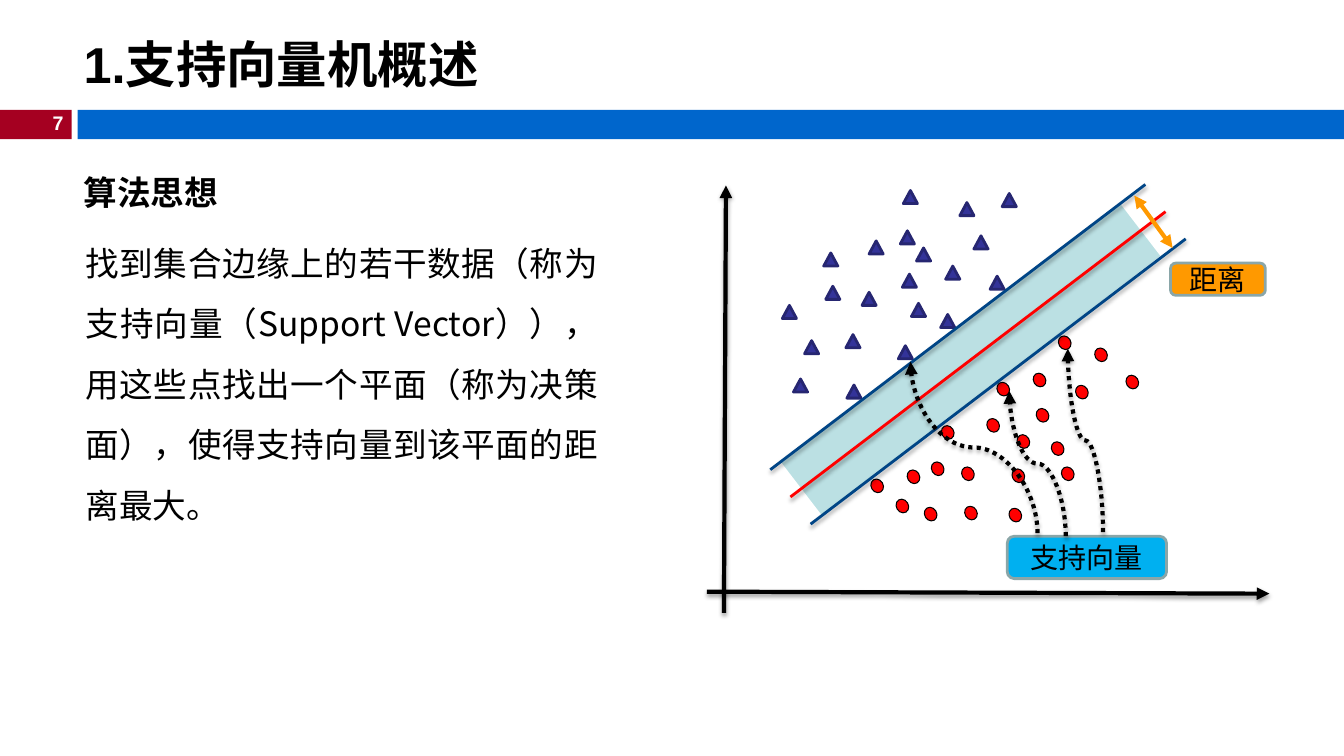
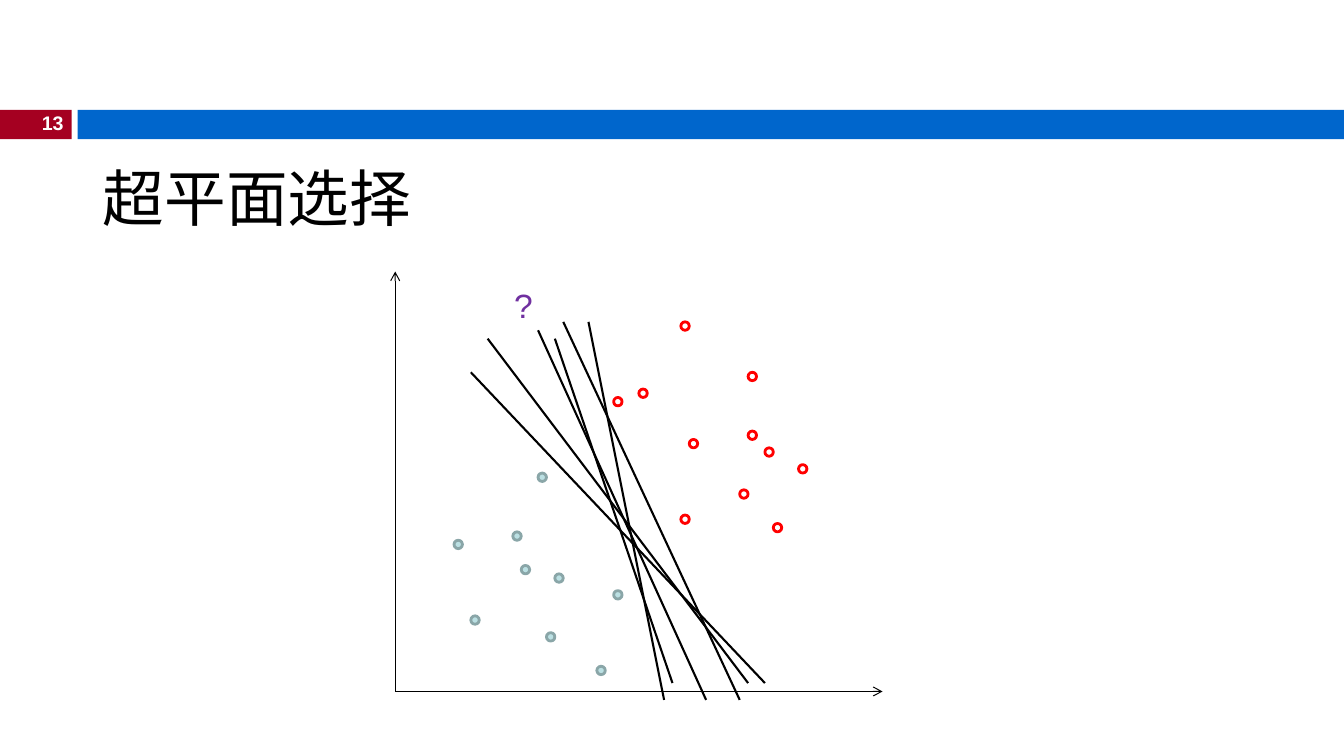
from lxml import etree
from pptx import Presentation
from pptx.dml.color import RGBColor
from pptx.enum.dml import MSO_LINE
from pptx.enum.lang import MSO_LANGUAGE_ID as Language
from pptx.enum.shapes import MSO_CONNECTOR as Connector, MSO_SHAPE as Shape
from pptx.enum.text import MSO_ANCHOR as Anchor, MSO_AUTO_SIZE as AutoSize, PP_ALIGN as Align
from pptx.oxml.ns import qn
from pptx.util import Inches, Pt

BLACK = RGBColor(0x00, 0x00, 0x00)
WHITE = RGBColor(0xFF, 0xFF, 0xFF)
CRIMSON = RGBColor(0xA5, 0x00, 0x21)
BAND_BLUE = RGBColor(0x00, 0x66, 0xCC)
SKY = RGBColor(0x00, 0xB0, 0xF0)
ORANGE = RGBColor(0xFF, 0x99, 0x00)
PALE_TEAL = RGBColor(0xBB, 0xE0, 0xE3)
GREY_TEAL = RGBColor(0x8A, 0xA6, 0xA8)
RED = RGBColor(0xFF, 0x00, 0x00)
NAVY = RGBColor(0x00, 0x45, 0x86)
INDIGO = RGBColor(0x33, 0x33, 0x99)
DARK_INDIGO = RGBColor(0x26, 0x26, 0x71)
PURPLE = RGBColor(0x70, 0x30, 0xA0)

LATIN_FONT = "Arial"
CHINESE_FONT = "Noto Sans CJK SC"
SLIDE_WIDTH, SLIDE_HEIGHT = 13.33, 7.5

# Scatter of the first slide: left and top of each marker, in inches
CIRCLES = [
    (9.24, 4.58), (8.89, 4.95), (9.17, 5.03), (9.89, 3.79), (9, 4.66), (10.25, 3.7),
    (10.53, 4.63), (10.67, 3.82), (10.09, 4.31), (9.54, 4.63), (10.86, 3.45),
    (9.79, 4.15), (10.43, 4.38), (10.28, 4.05), (9.57, 5.02), (10.01, 5.04),
    (10.04, 4.65), (8.64, 4.75), (10.5, 3.33), (11.17, 3.72), (9.34, 4.22)]
TRIANGLES = [
    (9.04, 3.01), (9.33, 3.12), (9.38, 2.64), (8.96, 1.89), (8.93, 2.29), (9.09, 2.46),
    (9.52, 2.01), (9.94, 1.92), (9.66, 2.34), (8.17, 2.51), (9.82, 2.74), (8.19, 2.84),
    (8.62, 2.39), (7.76, 3.03), (8.95, 2.72), (7.98, 3.38), (8.39, 3.32), (8.4, 3.82),
    (7.87, 3.76), (8.91, 3.43), (8.55, 2.9)]
SUPPORT_ARROWS = [((10.94, 5.28), (10.59, 3.46)), ((10.29, 5.29), (9.03, 3.59)),
                  ((10.57, 5.32), (10.01, 3.88))]

# Plot of the second slide: columns right of and rows above the axes' origin
CELL = 1 / 12
ORIGIN = (3.92, 6.86)
TEAL_DOTS = [(7, 18), (14, 19), (15, 15), (26, 12), (19, 14), (18, 7), (17, 26),
             (24, 3), (9, 9)]
RED_DOTS = [(29, 36), (42, 31), (34, 44), (35, 30), (34, 21), (26, 35), (41, 24),
            (42, 38), (45, 20), (48, 27), (44, 29)]
CANDIDATE_LINES = [((11, 42), (42, 1)), ((17, 43), (37, -1)), ((9, 38), (44, 1)),
                   ((20, 44), (41, -1)), ((19, 42), (33, 1)), ((23, 44), (32, -1))]


def cell_point(column, row):
    return ORIGIN[0] + column * CELL, ORIGIN[1] - row * CELL


def write_text(shape, text, size, color=BLACK, font=CHINESE_FONT, bold=False,
               align=Align.LEFT, anchor=Anchor.TOP, spacing=1.0):
    frame = shape.text_frame
    frame.text = text
    frame.word_wrap = True
    frame.auto_size = AutoSize.NONE
    frame.vertical_anchor = anchor
    paragraph = frame.paragraphs[0]
    paragraph.alignment = align
    paragraph.line_spacing = spacing
    # Keep punctuation inside the text area
    paragraph._p.get_or_add_pPr().set("hangingPunct", "0")
    run_font = paragraph.runs[0].font
    run_font.name = font
    run_font.size = Pt(size)
    run_font.bold = bold
    run_font.color.rgb = color
    run_font.language_id = Language.SIMPLIFIED_CHINESE
    # East Asian typeface for the Chinese characters
    latin = paragraph.runs[0]._r.rPr.find(qn("a:latin"))
    east_asian = etree.Element(qn("a:ea"), typeface=CHINESE_FONT)
    latin.addnext(east_asian)


def add_text(slide, box, text, size, **style):
    shape = slide.shapes.add_textbox(*map(Inches, box))
    write_text(shape, text, size, **style)


def set_title(slide, box, text, size, **style):
    title = slide.shapes.title
    title.left, title.top, title.width, title.height = map(Inches, box)
    write_text(title, text, size, font=LATIN_FONT, anchor=Anchor.MIDDLE, **style)


def add_box(slide, kind, box, fill=None, line=None, line_width=2, rotation=0):
    shape = slide.shapes.add_shape(kind, *map(Inches, box))
    shape.shadow.inherit = False
    shape.rotation = rotation
    if fill is None:
        shape.fill.background()
    else:
        shape.fill.solid()
        shape.fill.fore_color.rgb = fill
    if line is None:
        shape.line.fill.background()
    else:
        shape.line.color.rgb = line
        shape.line.width = Pt(line_width)
    return shape


def add_label(slide, box, text, fill):
    label = add_box(slide, Shape.ROUNDED_RECTANGLE, box, fill, GREY_TEAL)
    frame = label.text_frame
    frame.margin_top = frame.margin_bottom = 0
    write_text(label, text, 20, align=Align.CENTER, anchor=Anchor.MIDDLE)


def add_markers(slide, kind, points, size, **style):
    for point in points:
        add_box(slide, kind, (*point, *size), **style)


def style_line(connector, color, width, head=None, tail=None, shadow=False):
    connector.line.color.rgb = color
    connector.line.width = Pt(width)
    line = connector.line._get_or_add_ln()
    for tag, end in (("a:headEnd", head), ("a:tailEnd", tail)):
        if end:
            etree.SubElement(line, qn(tag), type=end)
    effects = etree.SubElement(connector._element.spPr, qn("a:effectLst"))
    if shadow:
        outer = etree.SubElement(effects, qn("a:outerShdw"), blurRad=str(Pt(3.1)),
                                 dist=str(Pt(1.8)), dir="5400000", rotWithShape="0")
        shade = etree.SubElement(outer, qn("a:srgbClr"), val=str(BLACK))
        etree.SubElement(shade, qn("a:alpha"), val="36000")


def add_line(slide, start, end, color, width, **style):
    connector = slide.shapes.add_connector(
        Connector.STRAIGHT, *map(Inches, (*start, *end)))
    style_line(connector, color, width, **style)


def add_rising_curve(slide, start, end):
    """Dotted S-curve that leaves and arrives vertically, up and to the left."""
    center_x, center_y = (start[0] + end[0]) / 2, (start[1] + end[1]) / 2
    half_rise, half_run = (start[1] - end[1]) / 2, (start[0] - end[0]) / 2
    # Laid flat first, then turned a quarter to the left
    flat = (center_x - half_rise, center_y + half_run,
            center_x + half_rise, center_y - half_run)
    connector = slide.shapes.add_connector(Connector.CURVE, *map(Inches, flat))
    connector._element.spPr.find(qn("a:xfrm")).set("rot", str(270 * 60000))
    connector.line.dash_style = MSO_LINE.ROUND_DOT
    style_line(connector, BLACK, 3, tail="triangle", shadow=True)


def add_content_slide(presentation, number):
    """Title-only slide with the shared number tab and band."""
    slide = presentation.slides.add_slide(presentation.slide_layouts[5])
    add_box(slide, Shape.RECTANGLE, (0, 1.09, 0.71, 0.29), CRIMSON)
    add_box(slide, Shape.RECTANGLE, (0.77, 1.09, SLIDE_WIDTH - 0.77, 0.29), BAND_BLUE)
    add_text(slide, (0.1, 1.05, 0.63, 0.34), str(number), 14, color=WHITE,
             font=LATIN_FONT, bold=True, align=Align.RIGHT)
    return slide


def build_overview(presentation):
    slide = add_content_slide(presentation, 7)
    set_title(slide, (0.73, 0.26, 12.6, 0.74), "1.支持向量机概述", 36, bold=True)

    # Explanation
    add_text(slide, (0.73, 1.46, 1.59, 0.64), "算法思想", 24, bold=True,
             align=Align.JUSTIFY, spacing=1.5)
    add_text(slide, (0.75, 2.16, 5.28, 3.06),
             "找到集合边缘上的若干数据（称为支持向量（Support Vector）），"
             "用这些点找出一个平面（称为决策面），使得支持向量到该平面的距离最大。",
             24, align=Align.JUSTIFY, spacing=1.5)

    # Margin area, axes and decision line
    add_label(slide, (9.99, 5.32, 1.58, 0.42), "支持向量", SKY)
    add_box(slide, Shape.RECTANGLE, (7.5, 3.22, 4.26, 0.69), PALE_TEAL, WHITE,
            rotation=322.5)
    for start, end in (((7.01, 5.87), (12.59, 5.89)), ((7.18, 6.08), (7.2, 1.84))):
        add_line(slide, start, end, BLACK, 3, tail="triangle", shadow=True)
    add_markers(slide, Shape.OVAL, CIRCLES, (0.12, 0.14), fill=RED, line=BLACK,
                line_width=0.75, rotation=148.9)
    add_markers(slide, Shape.ISOSCELES_TRIANGLE, TRIANGLES, (0.14, 0.13), fill=INDIGO,
                line=DARK_INDIGO)
    for side, color in ((0, RED), (-1, NAVY), (1, NAVY)):
        shift_x, shift_y = side * 0.2, side * 0.27
        add_line(slide, (7.84 + shift_x, 4.93 + shift_y),
                 (11.56 + shift_x, 2.1 + shift_y), color, 2, shadow=True)

    # Support vectors and distance
    for start, end in SUPPORT_ARROWS:
        add_rising_curve(slide, start, end)
    add_line(slide, (11.25, 1.94), (11.63, 2.46), ORANGE, 3, head="triangle",
             tail="triangle")
    add_label(slide, (11.61, 2.61, 0.94, 0.32), "距离", ORANGE)


def build_hyperplanes(presentation):
    slide = add_content_slide(presentation, 13)
    set_title(slide, (0.92, 1.27, 11.5, 1.45), "超平面选择", 44, spacing=0.9)

    # Axes
    for tip in ((58, 0), (0, 50)):
        add_line(slide, ORIGIN, cell_point(*tip), BLACK, 0.75, tail="arrow")

    # Two classes and the candidate lines between them
    for dots, fill, line in ((TEAL_DOTS, PALE_TEAL, GREY_TEAL), (RED_DOTS, None, RED)):
        points = [cell_point(*dot) for dot in dots]
        add_markers(slide, Shape.OVAL, points, (CELL, CELL), fill=fill, line=line)
    for start, end in CANDIDATE_LINES:
        add_line(slide, cell_point(*start), cell_point(*end), BLACK, 1.5)
    add_text(slide, (5, 2.78, 0.5, 0.5), "?", 24, color=PURPLE, font=LATIN_FONT)


def main():
    presentation = Presentation()
    presentation.slide_width = Inches(SLIDE_WIDTH)
    presentation.slide_height = Inches(SLIDE_HEIGHT)
    build_overview(presentation)
    build_hyperplanes(presentation)
    presentation.save("out.pptx")


if __name__ == "__main__":
    main()
